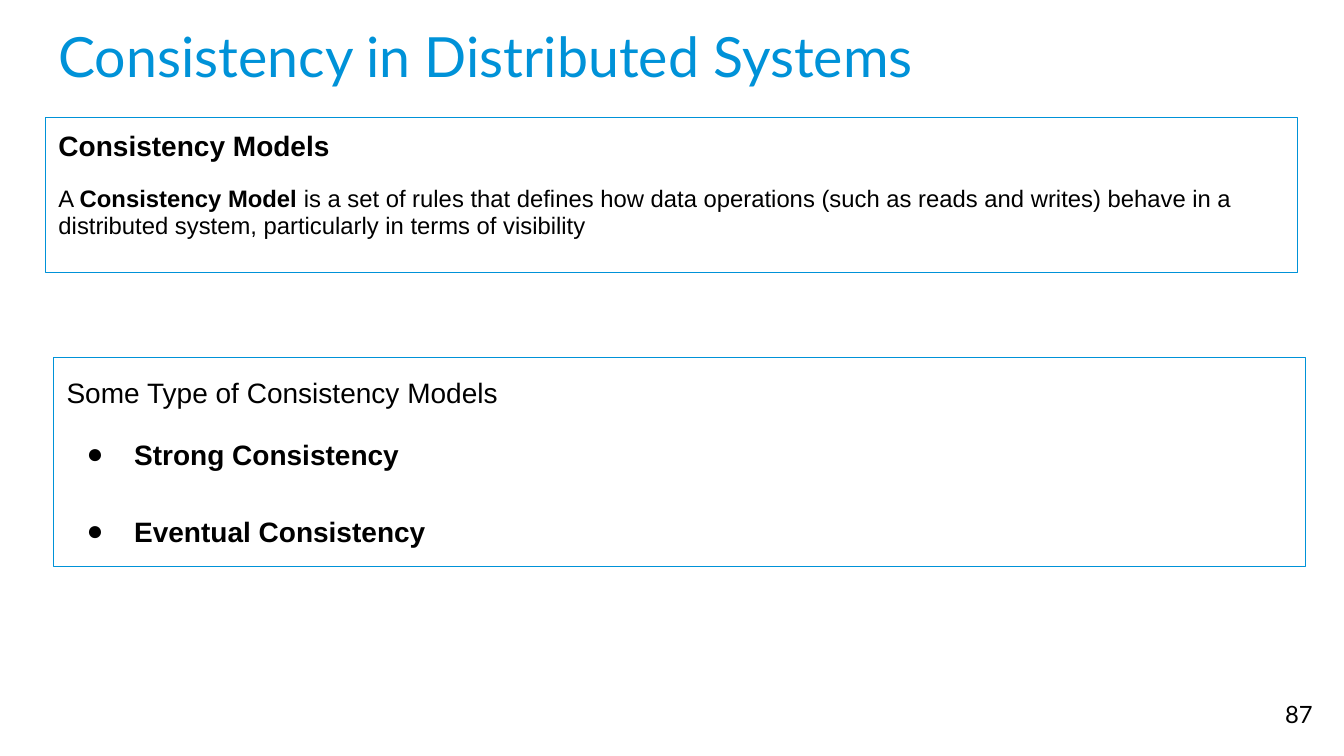
from pptx import Presentation
from pptx.dml.color import RGBColor
from pptx.enum.text import MSO_ANCHOR as Anchor, MSO_AUTO_SIZE as AutoSize, PP_ALIGN as Align
from pptx.oxml.ns import qn
from pptx.util import Inches, Pt
from lxml.etree import SubElement

BLUE, BLACK = "0092D8", "000000"


def color(value):
    return RGBColor.from_string(value)


def place(part, left, top, width, height, anchor=Anchor.TOP):
    part.left, part.top = Inches(left), Inches(top)
    part.width, part.height = Inches(width), Inches(height)
    frame = part.text_frame
    frame.margin_left = frame.margin_right = Inches(0.13)
    frame.margin_top = frame.margin_bottom = Inches(0.13)
    frame.word_wrap = True
    frame.auto_size = AutoSize.NONE
    frame.vertical_anchor = anchor
    return frame


deck = Presentation()
deck.slide_width, deck.slide_height = Inches(13.33), Inches(7.5)
slide = deck.slides.add_slide(deck.slide_layouts[3])
title, definition, models = list(slide.placeholders)[:3]

heading = place(title, 0.45, 0.09, 12.42, 0.83).paragraphs[0]
heading.text = "Consistency in Distributed Systems"
heading.alignment = Align.LEFT
heading.font.name, heading.font.size = "Lato", Pt(39.6)
heading.font.color.rgb = color(BLUE)

definition_paragraphs = [
    ([("Consistency Models", True)], 20, 0, False),
    ([("A ", False), ("Consistency Model", True),
      (" is a set of rules that defines how data operations (such as reads and writes) "
       "behave in a distributed system, particularly in terms of visibility", False)], 17, 16, False),
]
model_paragraphs = [
    ([("Some Type of Consistency Models", False)], 20, 0, False),
    ([("Strong Consistency", True)], 20, 16, True),
    ([("Eventual Consistency", True)], 20, 27.5, True),
]

for panel, left, top, height, spacing, paragraphs in [
    (definition, 0.45, 1.17, 1.53, 0.95, definition_paragraphs),
    (models, 0.53, 3.55, 2.07, 1.15, model_paragraphs),
]:
    frame = place(panel, left, top, 12.42, height)
    panel.line.color.rgb = color(BLUE)
    panel.line.width = Pt(0.75)
    for index, (pieces, size, before, bulleted) in enumerate(paragraphs):
        paragraph = frame.add_paragraph() if index else frame.paragraphs[0]
        paragraph.alignment = Align.LEFT
        paragraph.line_spacing = spacing
        paragraph.space_before, paragraph.space_after = Pt(before), Pt(0)
        properties = paragraph._p.get_or_add_pPr()
        properties.set("marL", str(Inches(0.67) if bulleted else 0))
        properties.set("indent", str(Inches(-0.47) if bulleted else 0))
        if bulleted:
            bullet_color = SubElement(properties, qn("a:buClr"))
            SubElement(bullet_color, qn("a:srgbClr")).set("val", BLACK)
            SubElement(properties, qn("a:buFont")).set("typeface", "Arial")
            SubElement(properties, qn("a:buChar")).set("char", "●")
        else:
            SubElement(properties, qn("a:buNone"))
        paragraph.font.name, paragraph.font.size = "Arial", Pt(size)
        paragraph.font.color.rgb = color(BLACK)
        if len(pieces) == 1:
            paragraph.font.bold = pieces[0][1]
        for text, bold in pieces:
            run = paragraph.add_run()
            run.text = text
            if len(pieces) > 1:
                run.font.bold = bold

page_box = slide.shapes.add_textbox(0, 0, 0, 0)
page_number = place(page_box, 12.35, 6.8, 0.8, 0.57, Anchor.MIDDLE).paragraphs[0]
page_number.text = "87"
page_number.alignment = Align.RIGHT
page_number.font.name, page_number.font.size = "Lato", Pt(17)
page_number.font.color.rgb = color(BLACK)

deck.save("out.pptx")
